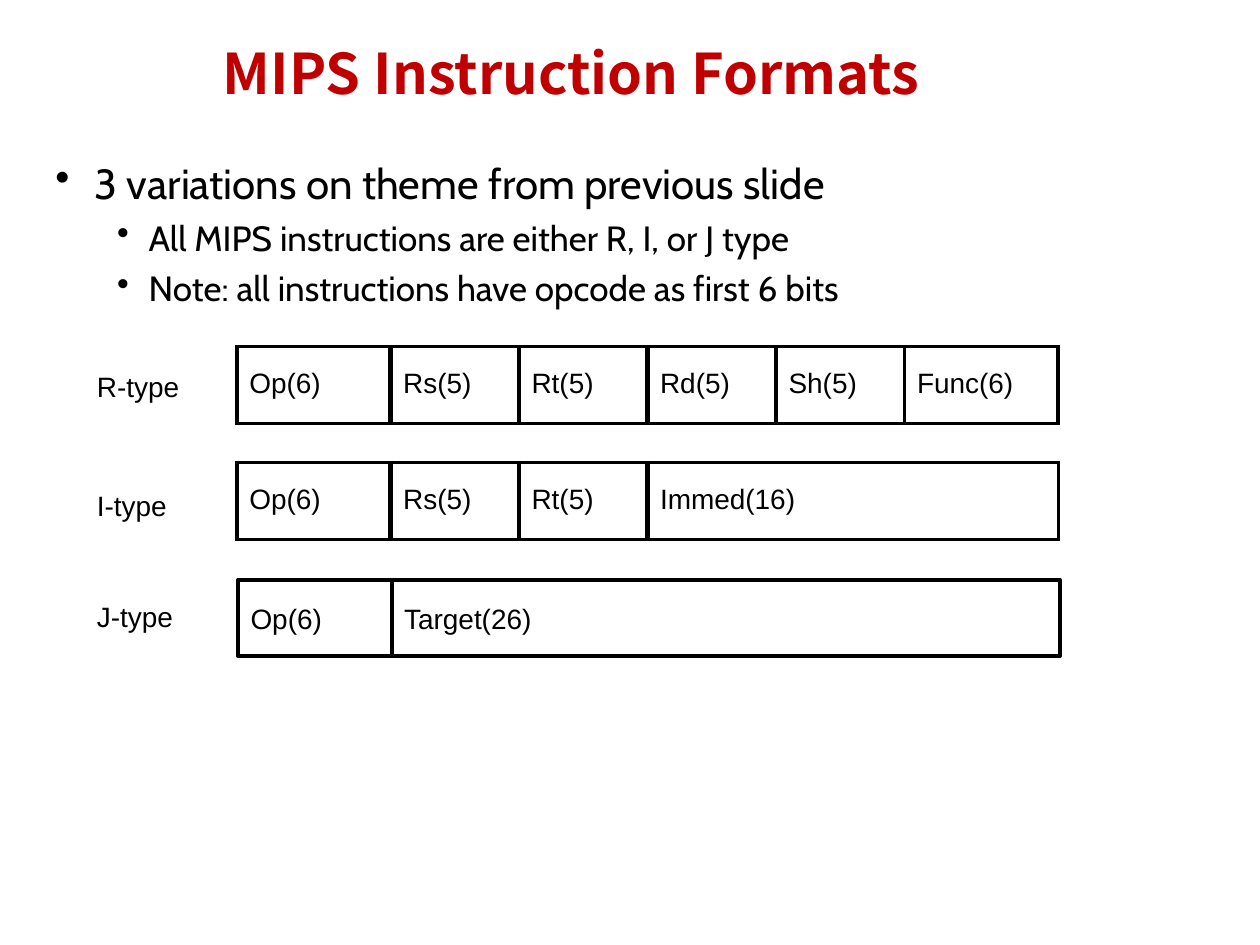
from lxml import etree
from pptx import Presentation
from pptx.dml.color import RGBColor
from pptx.enum.shapes import MSO_SHAPE
from pptx.enum.text import MSO_ANCHOR, PP_ALIGN
from pptx.oxml.ns import qn
from pptx.util import Inches, Pt

RECT = MSO_SHAPE.RECTANGLE
TOP, MIDDLE = MSO_ANCHOR.TOP, MSO_ANCHOR.MIDDLE
LEFT, CENTER = PP_ALIGN.LEFT, PP_ALIGN.CENTER

BLACK, RED = "000000", "C00000"
TITLE = {"name": "Noto Sans CJK SC", "size": Pt(32), "bold": True}
BULLET_1 = {"name": "Cabin", "size": Pt(24)}
BULLET_2 = {"name": "Cabin", "size": Pt(20)}
FIELD = {"name": "Arial", "size": Pt(16)}

THIN, THICK = 2.25, 3
ROW_HEIGHT = 0.61
OP_WIDTH, REG_WIDTH = 1.22, 1.02


def rgb(color):
    return RGBColor.from_string(color)


def write(p, text, style, color=BLACK, align=LEFT):
    p.alignment = align
    r = p.add_run()
    r.text = text
    for name, value in style.items():
        setattr(r.font, name, value)
    r.font.color.rgb = rgb(color)


def set_margins(holder, left=0, top=0):
    """Set the insets of a text frame or a table cell, in inches."""
    holder.margin_left, holder.margin_top = Inches(left), Inches(top)
    holder.margin_right = holder.margin_bottom = 0


def add_text_box(s, x, y, w, h, anchor=TOP):
    tf = s.shapes.add_textbox(Inches(x), Inches(y), Inches(w), Inches(h)).text_frame
    tf.word_wrap = True
    tf.vertical_anchor = anchor
    set_margins(tf)
    return tf


def add_title(s, x, y, w, h):
    tf = add_text_box(s, x, y, w, h, MIDDLE)
    write(tf.paragraphs[0], "MIPS Instruction Formats", TITLE, RED, CENTER)


def set_bullet(p, left, hanging):
    pPr = p._p.get_or_add_pPr()
    pPr.set("marL", str(Inches(left)))
    pPr.set("indent", str(-Inches(hanging)))
    etree.SubElement(pPr, qn("a:buChar")).set("char", "•")


def add_bullets(s, x, y, w, h):
    tf = add_text_box(s, x, y, w, h)
    items = [
        (0, "3 variations on theme from previous slide"),
        (1, "All MIPS instructions are either R, I, or J type"),
        (1, "Note: all instructions have opcode as first 6 bits"),
    ]
    levels = [(0.33, 0.31, BULLET_1), (0.76, 0.25, BULLET_2)]
    for i, (level, text) in enumerate(items):
        left, hanging, style = levels[level]
        p = tf.add_paragraph() if i else tf.paragraphs[0]
        p.level = level
        set_bullet(p, left, hanging)
        if i:
            p.space_before = Pt(4.8)
        write(p, text, style)


def set_borders(cell, **widths):
    tcPr = cell._tc.get_or_add_tcPr()
    for i, side in enumerate(("lnL", "lnR", "lnT", "lnB")):
        ln = etree.Element(qn("a:" + side), w=str(Pt(widths.get(side, THIN))))
        fill = etree.SubElement(ln, qn("a:solidFill"))
        etree.SubElement(fill, qn("a:srgbClr")).set("val", BLACK)
        tcPr.insert(i, ln)


def add_field_table(s, x, y, fields, thick_edges):
    """Add one row of fields; thick_edges numbers the inner edges drawn thicker."""
    widths = [Inches(w) for _, w in fields]
    table = s.shapes.add_table(1, len(fields), Inches(x), Inches(y),
                               sum(widths), Inches(ROW_HEIGHT)).table
    table.first_row = table.horz_banding = False
    for i, (text, _) in enumerate(fields):
        table.columns[i].width = widths[i]
        cell = table.cell(0, i)
        cell.fill.background()
        set_margins(cell, 0.1, 0.17)
        set_borders(cell, lnL=THICK if i in thick_edges else THIN,
                    lnR=THICK if i + 1 in thick_edges else THIN)
        write(cell.text_frame.paragraphs[0], text, FIELD)


def add_field_boxes(s, x, y, fields):
    for text, w in fields:
        box = s.shapes.add_shape(RECT, Inches(x), Inches(y), Inches(w), Inches(ROW_HEIGHT))
        box.shadow.inherit = False
        box.fill.background()
        box.line.color.rgb = rgb(BLACK)
        box.line.width = Pt(THIN)
        tf = box.text_frame
        tf.vertical_anchor = TOP
        set_margins(tf, 0.1, 0.17)
        write(tf.paragraphs[0], text, FIELD)
        x += w


def add_label(s, x, y, text):
    tf = add_text_box(s, x, y, 0.8, 0.28)
    write(tf.paragraphs[0], text, FIELD)


def main():
    prs = Presentation()
    prs.slide_width, prs.slide_height = Inches(10), Inches(7.5)
    s = prs.slides.add_slide(prs.slide_layouts[6])

    add_title(s, 1.38, 0.3, 6.31, 0.55)
    add_bullets(s, 0.42, 1.25, 6.62, 1.3)

    op = ("Op(6)", OP_WIDTH)
    rs, rt, rd, sh = [(f"{name}(5)", REG_WIDTH) for name in ("Rs", "Rt", "Rd", "Sh")]
    r_type = [op, rs, rt, rd, sh, ("Func(6)", OP_WIDTH)]
    i_type = [op, rs, rt, ("Immed(16)", 2 * REG_WIDTH + OP_WIDTH)]
    j_type = [op, ("Target(26)", 4 * REG_WIDTH + OP_WIDTH)]
    add_field_table(s, 1.88, 2.75, r_type, (1, 3))
    add_field_table(s, 1.88, 3.67, i_type, (1, 3))
    add_field_boxes(s, 1.89, 4.6, j_type)

    for text, y in (("R-type", 2.93), ("I-type", 3.88), ("J-type", 4.76)):
        add_label(s, 0.77, y, text)

    prs.save("out.pptx")


if __name__ == "__main__":
    main()
